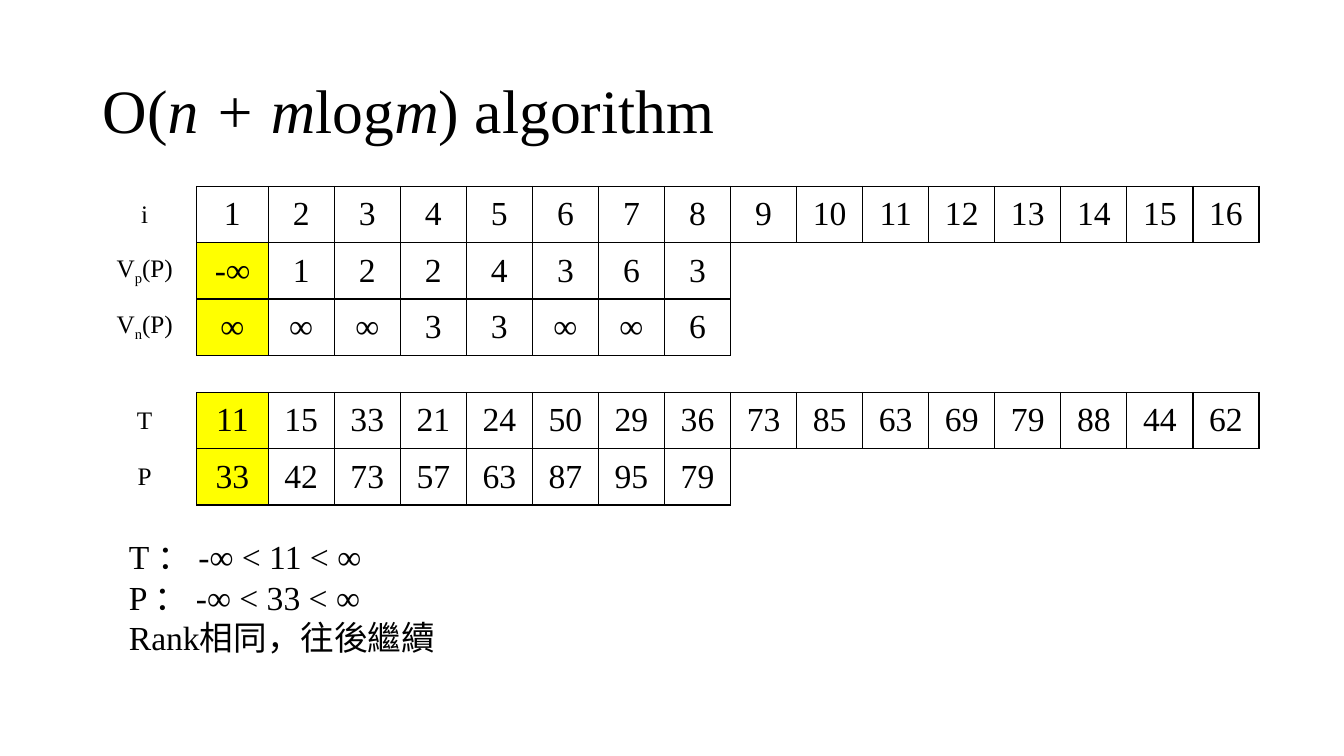
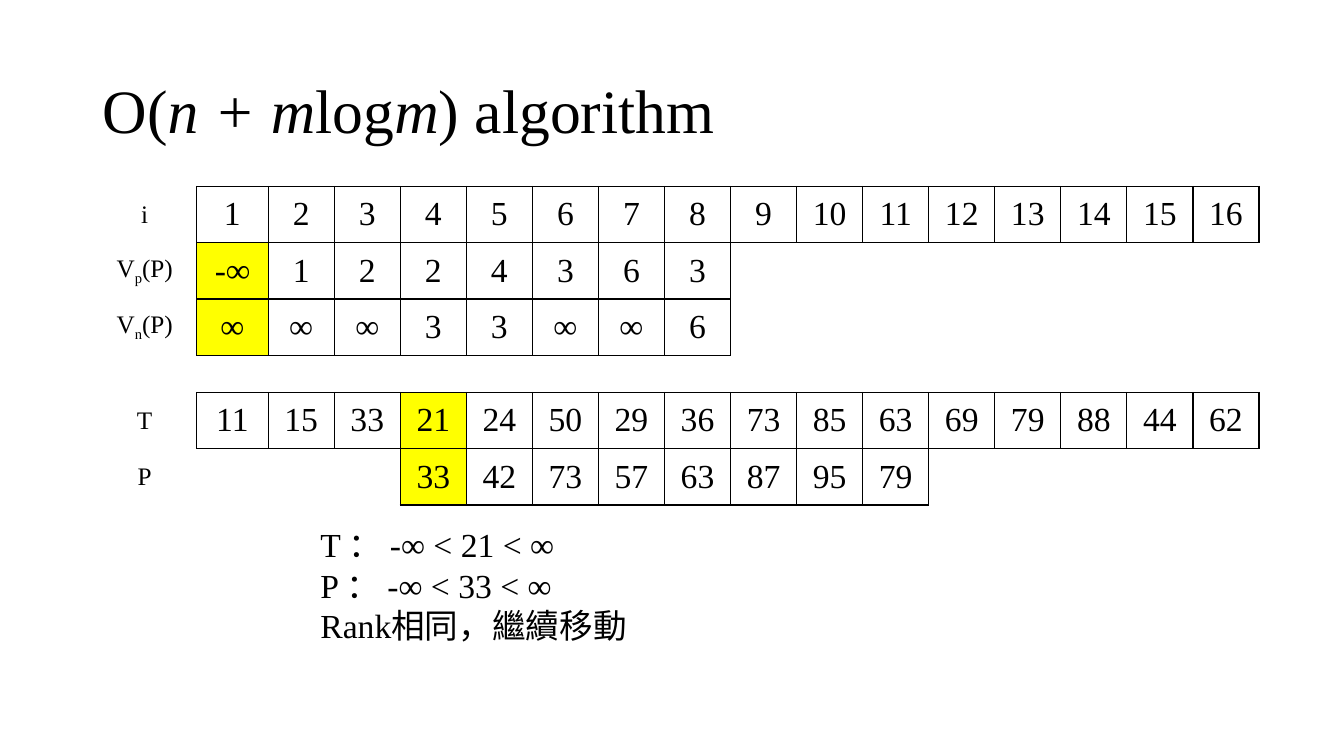
from lxml import etree
from pptx import Presentation
from pptx.dml.color import RGBColor
from pptx.enum.text import MSO_ANCHOR, PP_ALIGN
from pptx.oxml.ns import qn
from pptx.util import Inches, Pt

BLACK = RGBColor(0x00, 0x00, 0x00)
WHITE = RGBColor(0xFF, 0xFF, 0xFF)
YELLOW = RGBColor(0xFF, 0xFF, 0x00)
MIDDLE = MSO_ANCHOR.MIDDLE
CENTER = PP_ALIGN.CENTER
FONT = "Times New Roman"

LEFT, TOP, WIDTH, HEIGHT = 0.92, 1.85, 11.57, 3.16
LABEL_W, FIRST_W, GAP_H = 1.03, 0.71, 0.37
ROWS, COLS, GAP_ROW = 6, 17, 3
CELL_W = (WIDTH - LABEL_W - FIRST_W) / (COLS - 2)
CELL_H = (HEIGHT - GAP_H) / (ROWS - 1)

TITLE = [("O(", ""), ("n + m", "i"), ("log", ""), ("m", "i"), (") algorithm", "")]
LABELS = {
    0: [("i", "")],
    1: [("V", ""), ("p", "sub"), ("(P)", "")],
    2: [("V", ""), ("n", "sub"), ("(P)", "")],
    4: [("T", "")],
    5: [("P", "")],
}
INDEX = [str(n) for n in range(1, COLS)]
PREV = "-∞ 1 2 2 4 3 6 3".split()
NEXT = "∞ ∞ ∞ 3 3 ∞ ∞ 6".split()
TEXT = "11 15 33 21 24 50 29 36 73 85 63 69 79 88 44 62".split()
PATTERN = "33 42 73 57 63 87 95 79".split()

STEPS = [
    (1, 1.18, 5.27, "Rank相同，往後繼續"),
    (4, 3.08, 5.15, "Rank相同，繼續移動"),
]


def add_runs(para, parts, size):
    for text, style in parts:
        run = para.add_run()
        run.text = text
        font = run.font
        font.name = FONT
        font.size = Pt(size)
        font.color.rgb = BLACK
        font.bold = style == "b"
        font.italic = style == "i"
        if style == "sub":
            font._element.set("baseline", "-25000")


def add_box(slide, left, top, width, height):
    box = slide.shapes.add_textbox(
        Inches(left), Inches(top), Inches(width), Inches(height))
    box.text_frame.word_wrap = True
    return box.text_frame


def add_title(slide):
    frame = add_box(slide, LEFT, 0.4, 11.5, 1.45)
    frame.vertical_anchor = MIDDLE
    para = frame.paragraphs[0]
    para.line_spacing = 0.9
    add_runs(para, TITLE, 44)


def add_notes(slide, left, top, lines):
    frame = add_box(slide, left, top, 6.61, 1.31)
    for i, line in enumerate(lines):
        para = frame.add_paragraph() if i else frame.paragraphs[0]
        add_runs(para, [(line, "")], 24)


def set_edge(cell, side, shown):
    props = cell._tc.get_or_add_tcPr()
    line = etree.SubElement(props, qn(f"a:ln{side}"), w=str(Pt(1)))
    if shown:
        fill = etree.SubElement(line, qn("a:solidFill"))
        etree.SubElement(fill, qn("a:srgbClr"), val=str(BLACK))
    else:
        etree.SubElement(line, qn("a:noFill"))


def split_sign(value):
    if value == "-∞":
        return [("-", ""), ("∞", "b")]
    return [(value, "")]


def fill_cell(cell, parts, size):
    cell.vertical_anchor = MIDDLE
    para = cell.text_frame.paragraphs[0]
    para.alignment = CENTER
    add_runs(para, parts, size)


def grid_values(start):
    rows = {0: (1, INDEX), 1: (1, PREV), 2: (1, NEXT),
            4: (1, TEXT), 5: (start, PATTERN)}
    return {(row, first + i): value
            for row, (first, values) in rows.items()
            for i, value in enumerate(values)}


def add_grid(slide, start):
    table = slide.shapes.add_table(
        ROWS, COLS, Inches(LEFT), Inches(TOP),
        Inches(WIDTH), Inches(HEIGHT)).table
    table.first_row = table.horz_banding = False
    for col, width in enumerate([LABEL_W, FIRST_W] + [CELL_W] * (COLS - 2)):
        table.columns[col].width = Inches(width)
    for row in range(ROWS):
        table.rows[row].height = Inches(GAP_H if row == GAP_ROW else CELL_H)

    values = grid_values(start)
    marked = {(1, 1), (2, 1), (4, start), (5, start)}
    for row in range(ROWS):
        for col in range(COLS):
            cell = table.cell(row, col)
            cell.margin_top = cell.margin_bottom = 0
            spot = (row, col)
            beside = {"L": (row, col - 1), "R": (row, col + 1),
                      "T": (row - 1, col), "B": (row + 1, col)}
            for side, other in beside.items():
                set_edge(cell, side, spot in values or other in values)
            if spot in marked:
                cell.fill.solid()
                cell.fill.fore_color.rgb = YELLOW
            else:
                cell.fill.background()
            if spot in values:
                fill_cell(cell, split_sign(values[spot]), 24)
            elif col == 0 and row in LABELS:
                fill_cell(cell, LABELS[row], 18)


def add_step(deck, start, left, top, result):
    slide = deck.slides.add_slide(deck.slide_layouts[6])
    slide.background.fill.solid()
    slide.background.fill.fore_color.rgb = WHITE
    add_title(slide)
    add_grid(slide, start)
    add_notes(slide, left, top, [
        f"T ： -∞ < {TEXT[start - 1]} < ∞",
        f"P ： -∞ < {PATTERN[0]} < ∞",
        result,
    ])


def main():
    deck = Presentation()
    deck.slide_width = Inches(13.33)
    deck.slide_height = Inches(7.5)
    for step in STEPS:
        add_step(deck, *step)
    deck.save("out.pptx")


if __name__ == "__main__":
    main()
